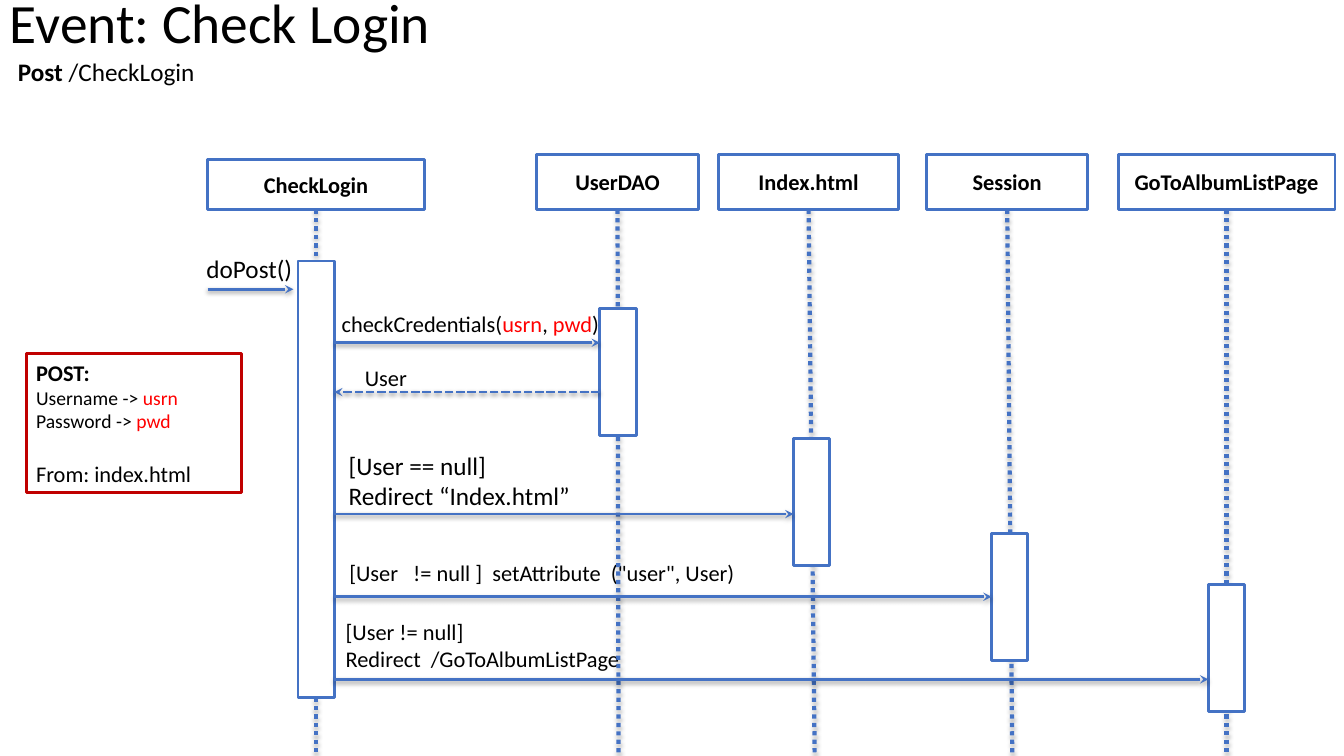
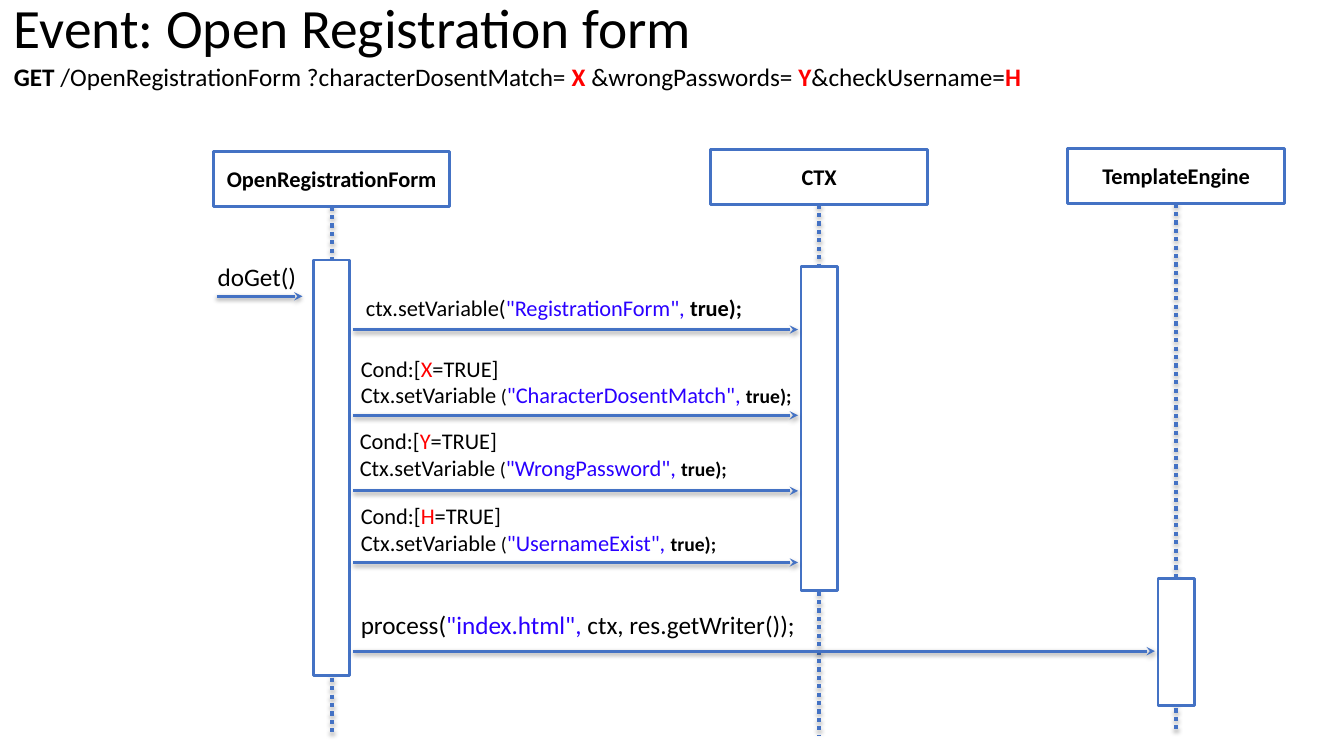
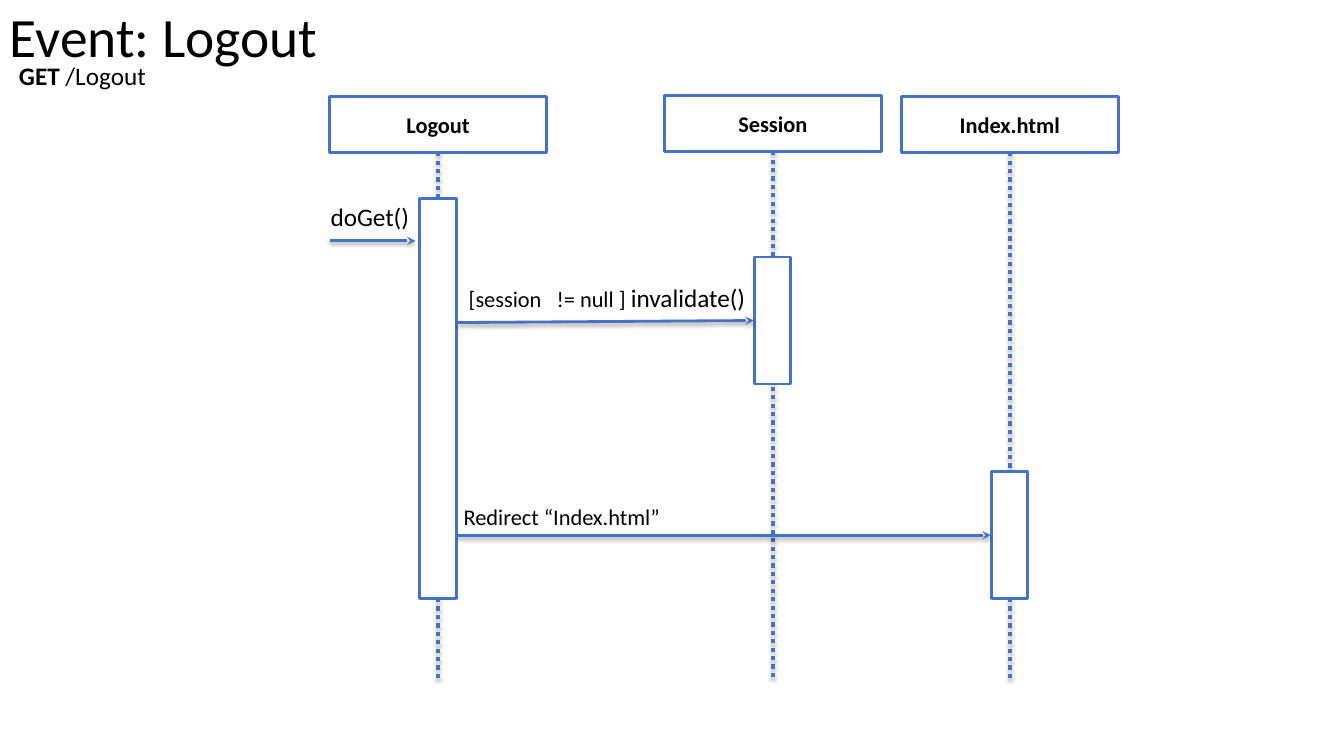
from lxml.etree import SubElement
from pptx import Presentation
from pptx.dml.color import RGBColor
from pptx.enum.dml import MSO_LINE
from pptx.enum.shapes import MSO_CONNECTOR, MSO_SHAPE
from pptx.enum.text import MSO_ANCHOR, MSO_AUTO_SIZE, PP_ALIGN
from pptx.oxml.ns import qn
from pptx.util import Inches, Pt

COLORS = {"text": "000000", "paper": "FFFFFF", "line": "4472C4",
          "param": "FF0000", "string": "2A00FF", "note": "C00000"}
FONT = "Calibri"
BAR_WIDTH = 0.36
CALL_LENGTH = 0.85
HEAD_HEIGHT = 0.55


# Run styles used in the content
def param(text, **style):
    return text, {"color": "param", **style}


def quoted(text):
    return text, {"color": "string"}


def strong(text, **style):
    return text, {"bold": True, **style}


def condition(flag, variable):
    return [["Cond:[", param(flag), "=TRUE]"],
            ["Ctx.setVariable", (" (", {"size": 14}),
             quoted(f'"{variable}", '), strong("true);", size=14)]]


# Boxes are (left, top, width, height) in inches.
# lifelines: head left, top, width; activation top, height; line end
# messages: source and target lifeline, height of the arrow; label box and text
DIAGRAMS = [
    {
        "title": ("Event: Check Login", (0, 0.01, 5.03, 0.49)),
        "request": ([[strong("Post"), " /CheckLogin"]], (0.08, 0.51, 1.97, 0.4)),
        "call": ("doPost()", (1.95, 2.46, 1.06, 0.4), 2.06, 2.87),
        "gap": 0,
        "lifelines": [
            {"name": "CheckLogin", "head": (2.06, 1.58, 2.15), "head_height": 0.5,
             "active": (2.59, 4.33), "end": 7.5},
            {"name": "UserDAO", "head": (5.32, 1.53, 1.61),
             "active": (3.06, 1.26), "end": 7.49, "drift": 0.01},
            {"name": "Index.html", "head": (7.13, 1.53, 1.78),
             "active": (4.35, 1.26), "end": 7.49, "drift": 0.06},
            {"name": "Session", "head": (9.19, 1.53, 1.6),
             "active": (5.29, 1.26), "end": 7.49, "drift": 0.05},
            {"name": "GoToAlbumListPage", "head": (11.09, 1.53, 2.15),
             "active": (5.8, 1.26), "end": 7.47},
        ],
        "messages": [
            {"route": (0, 1), "y": 3.4, "box": (3.29, 3.03, 2.76, 0.37),
             "label": [["checkCredentials(", param("usrn"), ", ", param("pwd"), ")"]]},
            {"route": (1, 0), "y": 3.89, "box": (3.52, 3.56, 0.62, 0.37),
             "label": [["User"]], "format": {"wrap": False}},
            {"route": (0, 2), "y": 5.1, "box": (3.36, 4.42, 5, 0.71),
             "label": [["[User == null]"], ["Redirect “Index.html”"]],
             "format": {"size": 18}},
            {"route": (0, 3), "y": 5.92, "box": (3.25, 5.5, 4.25, 0.37),
             "label": [['[User   != null ]  setAttribute  ("user", User)']],
             "format": {"align": PP_ALIGN.CENTER}},
            {"route": (0, 4), "y": 6.74, "box": (3.33, 6.08, 3.94, 0.64),
             "label": [["[User != null]"], ["Redirect  /GoToAlbumListPage"]]},
        ],
        "note": ([[strong("POST:", size=16)],
                  ["Username -> ", param("usrn")],
                  ["Password -> ", param("pwd")],
                  [("From: index.html", {"size": 16})]],
                 (0.26, 3.51, 2.14, 1.38)),
    },
    {
        "title": ("Event: Open Registration form", (0.04, 0.03, 11.5, 0.55)),
        "request": ([[strong("GET"), " /OpenRegistrationForm ?characterDosentMatch=",
                      param(" X ", bold=True), "&wrongPasswords=",
                      param(" Y", bold=True), "&checkUsername=",
                      param("H", bold=True)]], (0.04, 0.56, 10.3, 0.4)),
        "call": ("doGet()", (2.06, 2.54, 0.99, 0.4), 2.15, 2.94),
        "gap": 0.03,
        "lifelines": [
            {"name": "OpenRegistrationForm", "head": (2.12, 1.5, 2.34),
             "active": (2.58, 4.12), "end": 7.3},
            {"name": "CTX", "head": (7.05, 1.48, 2.15),
             "active": (2.64, 3.22), "end": 7.29},
            {"name": "TemplateEngine", "head": (10.59, 1.47, 2.15),
             "active": (5.74, 1.26), "end": 7.27},
        ],
        "messages": [
            {"route": (0, 1), "y": 3.27, "box": (3.53, 2.87, 4.35, 0.37),
             "label": [["ctx.setVariable(", quoted('"RegistrationForm", '),
                        strong("true);")]]},
            {"route": (0, 1), "y": 4.12, "box": (3.48, 3.47, 4.65, 0.64),
             "label": condition("X", "CharacterDosentMatch")},
            {"route": (0, 1), "y": 4.87, "box": (3.47, 4.19, 4.65, 0.64),
             "label": condition("Y", "WrongPassword")},
            {"route": (0, 1), "y": 5.58, "box": (3.48, 4.93, 4.65, 0.64),
             "label": condition("H", "UsernameExist")},
            {"route": (0, 2), "y": 6.46, "box": (3.48, 6, 4.77, 0.4),
             "label": [["process(", quoted('"index.html", '),
                        "ctx, res.getWriter());"]], "format": {"size": 18}},
        ],
    },
    {
        "title": ("Event: Logout", (0, 0.03, 11.5, 0.73)),
        "request": ([[strong("GET"), " /Logout"]], (0.09, 0.55, 1.47, 0.4)),
        "call": ("doGet()", (3.18, 1.95, 0.99, 0.4), 3.27, 2.39),
        "gap": 0.01,
        "lifelines": [
            {"name": "Logout", "head": (3.27, 0.96, 2.15),
             "active": (1.97, 3.97), "end": 6.76},
            {"name": "Session", "head": (6.59, 0.95, 2.15),
             "active": (2.55, 1.26), "end": 6.75},
            {"name": "Index.html", "head": (8.94, 0.96, 2.15),
             "active": (4.68, 1.26), "end": 6.76},
        ],
        "messages": [
            {"route": (0, 1), "y": 3.2, "rise": 0.02, "box": (4.54, 2.75, 2.96, 0.4),
             "label": [["[session   != null ] ", ("invalidate()", {"size": 18})]],
             "format": {"align": PP_ALIGN.CENTER}},
            {"route": (0, 2), "y": 5.31, "box": (4.5, 4.94, 3.66, 0.37),
             "label": [["Redirect “Index.html”"]]},
        ],
    },
]


def rgb(name):
    return RGBColor.from_string(COLORS[name])


def write_text(frame, paragraphs, size=16, bold=False, color="text", align=None,
               anchor=MSO_ANCHOR.TOP, wrap=True, spacing=None):
    """Fill a frame; each paragraph is a list of strings or (string, style)."""
    frame.word_wrap = wrap
    frame.vertical_anchor = anchor
    for index, runs in enumerate(paragraphs):
        paragraph = frame.paragraphs[0] if index == 0 else frame.add_paragraph()
        paragraph.alignment = align or PP_ALIGN.LEFT
        if spacing:
            paragraph.line_spacing = spacing
        for item in runs:
            text, style = (item, {}) if isinstance(item, str) else item
            run = paragraph.add_run()
            run.text = text
            run.font.name = FONT
            run.font.size = Pt(style.get("size", size))
            run.font.bold = style.get("bold", bold)
            run.font.color.rgb = rgb(style.get("color", color))


def add_label(slide, paragraphs, box, grow=True, **text_format):
    frame = slide.shapes.add_textbox(*map(Inches, box)).text_frame
    write_text(frame, paragraphs, **text_format)
    frame.auto_size = MSO_AUTO_SIZE.SHAPE_TO_FIT_TEXT if grow else MSO_AUTO_SIZE.NONE


def add_box(slide, box, line="line", filled=True):
    rect = slide.shapes.add_shape(MSO_SHAPE.RECTANGLE, *map(Inches, box))
    rect.shadow.inherit = False
    if filled:
        rect.fill.solid()
        rect.fill.fore_color.rgb = rgb("paper")
    else:
        rect.fill.background()
    rect.line.color.rgb = rgb(line)
    rect.line.width = Pt(2)
    return rect.text_frame


def add_line(slide, start, end, width=2, dash=None, arrow=True):
    line = slide.shapes.add_connector(MSO_CONNECTOR.STRAIGHT,
                                      *map(Inches, (*start, *end)))
    line.line.color.rgb = rgb("line")
    line.line.width = Pt(width)
    if dash:
        line.line.dash_style = dash
    properties = line._element.spPr
    if arrow:
        SubElement(properties.find(qn("a:ln")), qn("a:tailEnd"), type="stealth")
    # Soft shadow straight below the line
    effects = SubElement(properties, qn("a:effectLst"))
    shadow = SubElement(effects, qn("a:outerShdw"), blurRad="40000",
                        dist="20000" if arrow else "23000", dir="5400000",
                        rotWithShape="0")
    tint = SubElement(shadow, qn("a:srgbClr"), val=COLORS["text"])
    SubElement(tint, qn("a:alpha"), val="38000" if arrow else "35000")


def bar_left(lifeline):
    left, _, width = lifeline["head"]
    return left + (width + lifeline.get("drift", 0) - BAR_WIDTH) / 2


def add_lifeline(slide, lifeline):
    left, top, width = lifeline["head"]
    height = lifeline.get("head_height", HEAD_HEIGHT)
    center = left + width / 2
    active_top, active_height = lifeline["active"]
    add_line(slide, (center, top + height),
             (center + lifeline.get("drift", 0), lifeline["end"]),
             width=3, dash=MSO_LINE.ROUND_DOT, arrow=False)
    add_box(slide, (bar_left(lifeline), active_top, BAR_WIDTH, active_height))
    head = add_box(slide, (left, top, width, height))
    head.margin_left = head.margin_right = Inches(0.12)
    head.margin_top = head.margin_bottom = Inches(0.06)
    write_text(head, [[lifeline["name"]]], bold=True, align=PP_ALIGN.CENTER,
               anchor=MSO_ANCHOR.MIDDLE, wrap=False)


def add_message(slide, message, lifelines, gap):
    source, target = message["route"]
    start, end = (bar_left(lifelines[i]) for i in (source, target))
    reply = target < source
    if reply:
        start, end = start - gap, end + BAR_WIDTH + gap
    else:
        start, end = start + BAR_WIDTH + gap, end - gap
    y = message["y"]
    add_line(slide, (start, y), (end, y - message.get("rise", 0)),
             dash=MSO_LINE.SQUARE_DOT if reply else None)


def add_note(slide, paragraphs, box):
    frame = add_box(slide, box, line="note", filled=False)
    write_text(frame, paragraphs, size=14)
    frame.paragraphs[-1].space_before = Pt(19.5)


def add_diagram(slide, diagram):
    # Heading
    title, title_box = diagram["title"]
    add_label(slide, [[title]], title_box, grow=False, size=39.6,
              anchor=MSO_ANCHOR.MIDDLE, spacing=0.9)
    add_label(slide, *diagram["request"], size=18, wrap=False)
    # Labels lie below the lines
    call, call_box, call_left, call_y = diagram["call"]
    add_label(slide, [[call]], call_box, size=18, wrap=False)
    for message in diagram["messages"]:
        add_label(slide, message["label"], message["box"], **message.get("format", {}))
    if "note" in diagram:
        add_note(slide, *diagram["note"])
    # Lifelines and arrows
    for lifeline in reversed(diagram["lifelines"]):
        add_lifeline(slide, lifeline)
    add_line(slide, (call_left, call_y), (call_left + CALL_LENGTH, call_y))
    for message in diagram["messages"]:
        add_message(slide, message, diagram["lifelines"], diagram["gap"])


def main():
    deck = Presentation()
    deck.slide_width, deck.slide_height = Inches(13.33), Inches(7.5)
    for diagram in DIAGRAMS:
        add_diagram(deck.slides.add_slide(deck.slide_layouts[6]), diagram)
    deck.save("out.pptx")


if __name__ == "__main__":
    main()
